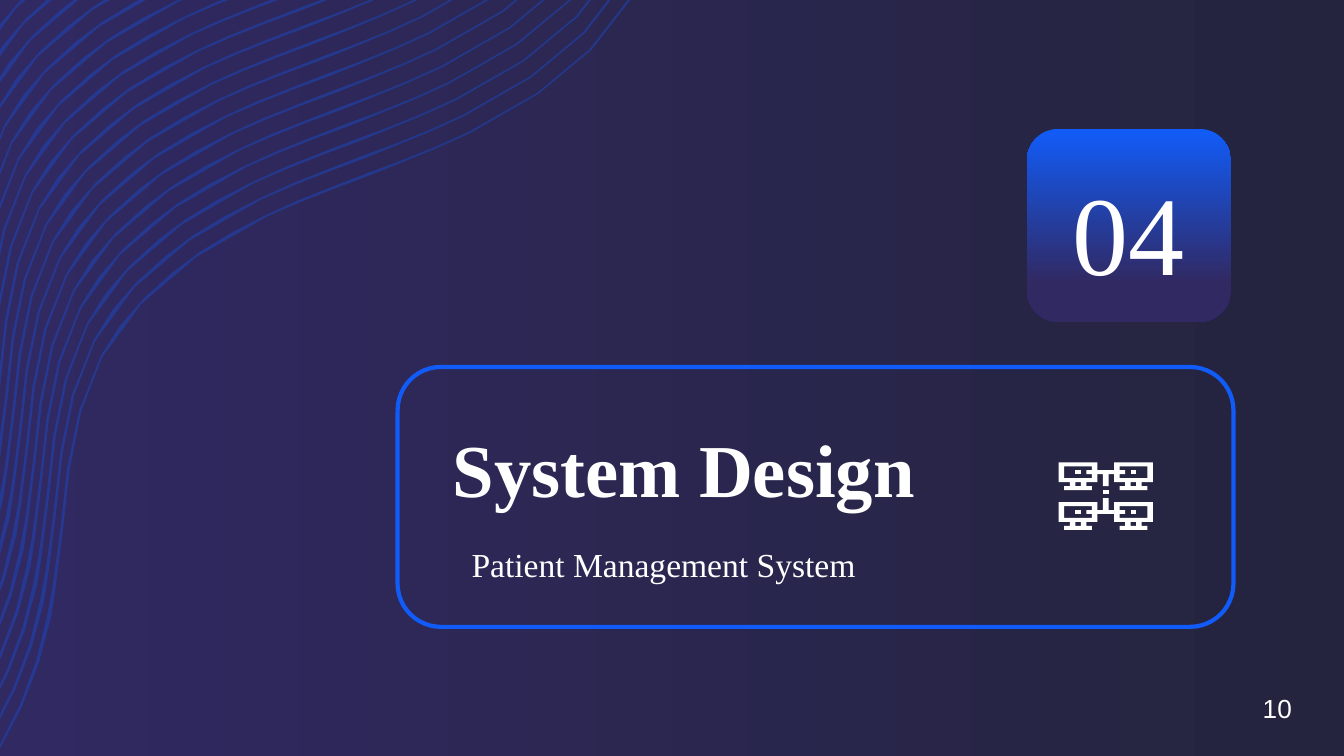
import pptx
import pptx.dml.color
import pptx.enum.shapes
import pptx.enum.text
import pptx.oxml
import pptx.util

Pt = pptx.util.Pt
RGB = pptx.dml.color.RGBColor
Align = pptx.enum.text.PP_ALIGN
Anchor = pptx.enum.text.MSO_ANCHOR
ROUNDED = pptx.enum.shapes.MSO_SHAPE.ROUNDED_RECTANGLE

BLUE = RGB(0x11, 0x5C, 0xF9)
PURPLE = RGB(0x31, 0x29, 0x62)
NIGHT = RGB(0x24, 0x24, 0x3E)
WHITE = RGB(0xFF, 0xFF, 0xFF)
SERIF = "Times New Roman"

# Bezier points of the outermost wave: start, then two controls and an end for each part
WAVE_OUTER = [(0, 401), (13, 379.4), (22.3, 355), (27.4, 330.5),
              (30.2, 314.6), (31.7, 298.1), (33.8, 283), (36.7, 251.3), (40.3, 218.9), (54.7, 191.5),
              (71.3, 161.3), (100.8, 136.1), (143.3, 115.9), (160.6, 108), (179.3, 100.8), (197.3, 94.3),
              (215.3, 87.1), (234, 79.9), (252, 71.3), (292.3, 51.8), (321.1, 28.1), (337.7, 0)]
WAVE_INNER = [(0, 398.9), (12.2, 377.3), (20.9, 354.2), (25.2, 330.5),
              (28.8, 314.6), (30.2, 298.1), (32.4, 283), (35.3, 251.3), (38.9, 218.9), (54, 190.8),
              (62.6, 174.2), (75.6, 159.8), (92.2, 146.2), (105.8, 134.6), (123.1, 124.6), (142.6, 115.2),
              (159.8, 106.6), (178.6, 100.1), (196.6, 92.9), (214.6, 86.4), (233.3, 79.2), (251.3, 70.6),
              (291.6, 51.1), (319.7, 28.1), (336.2, 0)]
WAVE_COUNT = 19
WAVE_STEP = (-3.7, -8.83)

# Left half of a pair of monitors, in cells of a 17 by 17 grid
GRID = 17
FRAME = [(7, 3), (7, 5), (5, 5), (5, 6), (6, 6), (6, 7), (1, 7), (1, 6),
         (2, 6), (2, 5), (0, 5), (0, 0), (7, 0), (7, 2)]
SCREEN = [(6, 1), (6, 2), (5, 2), (5, 3), (6, 3), (6, 4), (1, 4), (1, 1)]
STAND_GAP = [(4, 5), (4, 6), (3, 6), (3, 5)]
CURSOR = [(3, 2), (3, 3), (4, 3), (4, 2)]
LINK = [(8, 7), (8, 8), (9, 8), (9, 7)]


def write(frame, text, size=18, font=SERIF, bold=False, align=Align.LEFT,
          anchor=Anchor.MIDDLE, inset=7.2, bottom=None):
    frame.word_wrap = True
    frame.auto_size = pptx.enum.text.MSO_AUTO_SIZE.NONE
    frame.vertical_anchor = anchor
    frame.margin_left = frame.margin_right = frame.margin_top = Pt(inset)
    frame.margin_bottom = Pt(inset if bottom is None else bottom)
    paragraph = frame.paragraphs[0]
    paragraph.alignment = align
    paragraph.space_before = Pt(0)
    run = paragraph.add_run()
    run.text = text
    run.font.name, run.font.size, run.font.bold = font, Pt(size), bold
    run.font.color.rgb = WHITE


def place(part, left, top, width, height):
    part.left, part.top, part.width, part.height = map(Pt, (left, top, width, height))


def grade(fill, start, end, angle, end_at=1.0):
    fill.gradient()
    fill.gradient_angle = angle
    first, last = fill.gradient_stops
    first.color.rgb, last.color.rgb = start, end
    first.position, last.position = 0, end_at


def draw_outline(shapes, contours, color, opacity=None):
    """Fill closed contours as one shape; inner contours become holes."""
    builder = None
    for contour in contours:
        (x, y), *rest = [(Pt(px), Pt(py)) for px, py in contour]
        if builder is None:
            builder = shapes.build_freeform(x, y, scale=1.0)
        else:
            builder.move_to(x, y)
        builder.add_line_segments(rest, close=True)
    outline = builder.convert_to_shape()
    outline.shadow.inherit = False
    outline.line.fill.background()
    outline.fill.solid()
    outline.fill.fore_color.rgb = color
    if opacity is not None:
        tint = next(outline._element.spPr.iter(pptx.oxml.ns.qn("a:srgbClr")))
        alpha = tint.makeelement(pptx.oxml.ns.qn("a:alpha"), {"val": str(opacity * 1000)})
        tint.append(alpha)


def trace(bezier, steps=3):
    points = [bezier[0]]
    for k in range(0, len(bezier) - 1, 3):
        for n in range(1, steps + 1):
            t = n / steps
            weights = ((1 - t) ** 3, 3 * t * (1 - t) ** 2, 3 * t * t * (1 - t), t ** 3)
            points.append(tuple(sum(w * p[axis] for w, p in zip(weights, bezier[k:k + 4]))
                                for axis in (0, 1)))
    return points


def clip(points):
    """Keep the stretch with no negative coordinate, cut exactly at the edges."""
    kept = []
    for a, b in zip(points, points[1:]):
        inside_a, inside_b = min(a) >= 0, min(b) >= 0
        if inside_a:
            kept.append(a)
        if inside_a != inside_b:
            outer = b if inside_a else a
            axis = 0 if outer[0] < 0 else 1
            t = a[axis] / (a[axis] - b[axis])
            kept.append(tuple(p + t * (q - p) for p, q in zip(a, b)))
    if min(points[-1]) >= 0:
        kept.append(points[-1])
    return kept


def add_waves(slide, left, top, width, height):
    waves = slide.shapes.add_group_shape().shapes
    scale_x, scale_y = width / WAVE_OUTER[-1][0], height / WAVE_OUTER[0][1]
    edges = trace(WAVE_OUTER), trace(WAVE_INNER)
    for i in range(WAVE_COUNT):
        outer, inner = (clip([(x + i * WAVE_STEP[0], y + i * WAVE_STEP[1]) for x, y in edge])
                        for edge in edges)
        band = [(left + x * scale_x, top + y * scale_y) for x, y in outer + inner[::-1]]
        draw_outline(waves, [band], BLUE, opacity=32)


def add_badge(slide, left, top, width, height):
    tile = slide.shapes.add_shape(ROUNDED, *map(Pt, (left, top, width, height)))
    tile.shadow.inherit = False
    tile.line.fill.background()
    grade(tile.fill, BLUE, PURPLE, angle=270, end_at=0.8)
    number = slide.shapes.add_textbox(Pt(left + 9), Pt(top + 11), Pt(width - 18), Pt(height - 20))
    write(number.text_frame, "04", size=60, align=Align.CENTER, anchor=Anchor.BOTTOM, bottom=4)


def add_monitors(slide, left, top, width, height):
    icon = slide.shapes.add_group_shape().shapes

    def mirror(points):
        return [(GRID - x, y) for x, y in reversed(points)]

    def draw(contours, row=0):
        draw_outline(icon, [[(left + x * width / GRID, top + (y + row) * height / GRID)
                             for x, y in contour] for contour in contours], WHITE)

    upper = [(8, 6), (8, 3)] + FRAME
    lower = FRAME + [(8, 2), (8, -1)]
    for row, half in ((0, upper), (10, lower)):
        holes = [SCREEN, mirror(SCREEN), STAND_GAP, mirror(STAND_GAP)]
        draw([half + mirror(half)] + holes, row)
        draw([CURSOR], row)
        draw([mirror(CURSOR)], row)
    draw([LINK])


def add_heading_panel(slide, left, top, width, height):
    border = slide.shapes.add_shape(ROUNDED, *map(Pt, (left, top, width, height)))
    border.shadow.inherit = False
    border.fill.background()
    border.line.color.rgb = BLUE
    border.line.width = Pt(2.25)
    title, subtitle = slide.shapes.title, slide.placeholders[1]
    place(title, left + 22.3, top + 20.9, 382.3, 66.2)
    write(title.text_frame, "System Design", size=40, bold=True)
    place(subtitle, left + 32.4, top + 87.1, 382.3, 37.4)
    write(subtitle.text_frame, "Patient Management System")
    add_monitors(slide, left + 354.2, top + 51.1, 50.4, 36.2)


def add_page_number(slide, left, top, width, height):
    page = slide.shapes.add_textbox(*map(Pt, (left, top, width, height)))
    write(page.text_frame, "10", size=14, font="Arial", align=Align.CENTER, inset=3.6)


def main():
    deck = pptx.Presentation()
    deck.slide_width, deck.slide_height = Pt(720), Pt(405)
    slide = deck.slides.add_slide(deck.slide_layouts[0])
    grade(slide.background.fill, NIGHT, PURPLE, angle=180)
    add_waves(slide, 0, 0, 337.7, 401)
    add_heading_panel(slide, 213, 196.6, 447.8, 139.2)
    add_badge(slide, 550, 69, 109.5, 103.5)
    add_page_number(slide, 667.4, 367.2, 33.8, 24.5)
    deck.save("out.pptx")


if __name__ == "__main__":
    main()
